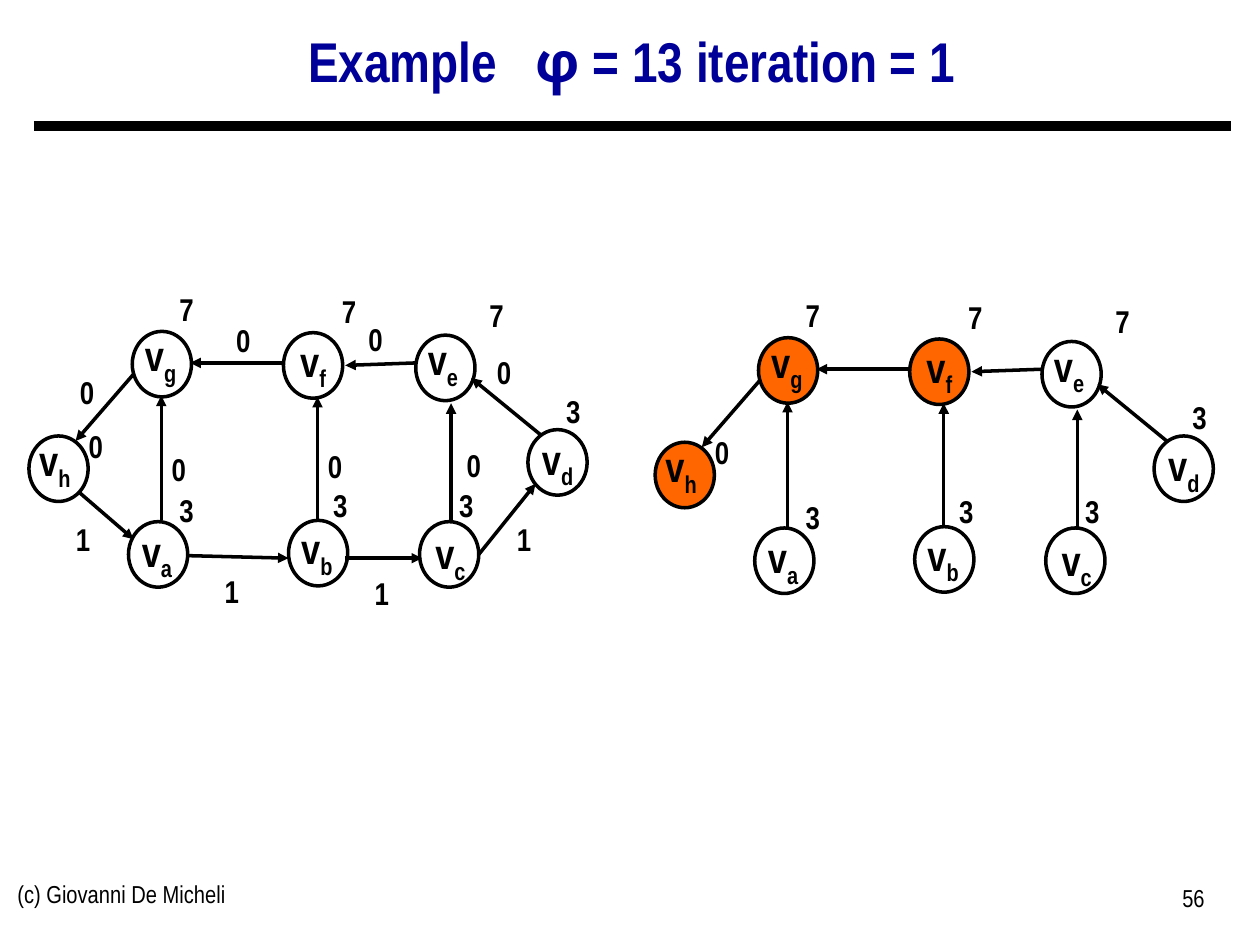
"""Build the retiming example slide: a weighted graph and its zero-weight subgraph."""
from dataclasses import dataclass

import lxml.etree
import pptx
import pptx.dml.color
import pptx.enum.shapes
import pptx.enum.text
import pptx.oxml.ns
import pptx.util

CELL = pptx.util.Inches(0.1)
COLUMNS, ROWS = 100, 75
FONT = "Arial Narrow"
BLACK, NAVY, ORANGE = "000000", "000099", "FF6600"
ALIGN = pptx.enum.text.PP_ALIGN
NODE_SIZE = (4.7, 5.2)
NAME_SIZE = (12.1, 5)
NUMBER_SIZE = (5.2, 4)

Point = tuple[float, float]


@dataclass(frozen=True)
class Node:
    """A vertex with its circle, name and delay positions in grid cells."""
    name: str
    circle: Point
    label: Point
    delay: str
    delay_at: Point


@dataclass(frozen=True)
class Edge:
    """An arrow between vertices with its weight and weight position."""
    start: Point
    end: Point
    weight: str
    weight_at: Point


@dataclass(frozen=True)
class Graph:
    """A drawing of the graph at an offset, whole or reduced."""
    offset: Point
    highlighted: str
    reduced: bool


NODES = (
    Node("a", (10.2, 41.4), (6.4, 41.2), "3", (12.2, 38.5)),
    Node("b", (22.9, 41.3), (19.1, 41), "3", (24.4, 38.1)),
    Node("c", (33.3, 41.4), (29.7, 41.4), "3", (34.4, 38.1)),
    Node("d", (41.9, 34.1), (38.2, 33.9), "3", (42.9, 30.6)),
    Node("e", (33, 26.6), (29.1, 26), "7", (36.8, 23)),
    Node("f", (22.5, 26.4), (18.8, 26.1), "7", (25.1, 22.7)),
    Node("g", (10.5, 26.3), (6.7, 25.7), "7", (12.2, 22.5)),
    Node("h", (2.3, 34.6), (-1.7, 34), "0", (5, 33.4)),
)
EDGES = (
    Edge((12.8, 41.3), (12.8, 31.4), "0", (11.6, 35.2)),
    Edge((25.2, 41.3), (25.2, 31.5), "0", (24, 35)),
    Edge((35.8, 41.3), (35.8, 32), "0", (35, 34.9)),
    Edge((42.9, 34.5), (37.4, 30), "0", (37.4, 27.5)),
    Edge((33.1, 28.8), (27.4, 29), "0", (27.2, 24.9)),
    Edge((22.4, 28.8), (15.1, 28.8), "0", (16.7, 25)),
    Edge((10.6, 29.7), (6, 35), "0", (4.3, 29.1)),
    Edge((6.2, 39), (10.6, 42.8), "1", (4, 40.8)),
    Edge((14.9, 44.1), (22.9, 44.3), "1", (15.8, 44.9)),
    Edge((27.4, 44.3), (33.5, 44.3), "1", (27.7, 45.1)),
    Edge((38, 44), (42.5, 38.4), "1", (39, 40.8)),
)
GRAPHS = (Graph((0, 0), "", False), Graph((49.7, 0.5), "fgh", True))


def cells(*counts: float) -> list[pptx.util.Emu]:
    """Turn counts of grid cells into lengths."""
    return [pptx.util.Emu(round(count * CELL)) for count in counts]


def color(value: str) -> pptx.dml.color.RGBColor:
    """Turn a hex string into a colour."""
    return pptx.dml.color.RGBColor.from_string(value)


def shifted(point: Point, offset: Point) -> Point:
    """Move a point by an offset."""
    return point[0] + offset[0], point[1] + offset[1]


def add_text(slide, at: Point, extent: Point, texts: tuple[str, ...], size: float,
             bold: bool = True, align=ALIGN.CENTER, ink: str = BLACK):
    """Add a one-paragraph text box and return its paragraph."""
    frame = slide.shapes.add_textbox(*cells(*at, *extent)).text_frame
    frame.word_wrap = True
    paragraph = frame.paragraphs[0]
    for text in texts:
        paragraph.add_run().text = text
    paragraph.alignment = align
    font = paragraph.font
    font.name, font.size, font.bold = FONT, pptx.util.Pt(size), bold
    font.color.rgb = color(ink)
    return paragraph


def add_line(slide, start: Point, end: Point, width: float, arrow: bool = True) -> None:
    """Draw a straight line, with an arrowhead at its end if wanted."""
    connector = slide.shapes.add_connector(
        pptx.enum.shapes.MSO_CONNECTOR.STRAIGHT, *cells(*start, *end))
    connector.line.color.rgb = color(BLACK)
    connector.line.width = pptx.util.Pt(width)
    qn = pptx.oxml.ns.qn
    properties = connector._element.spPr
    if arrow:
        lxml.etree.SubElement(properties.find(qn("a:ln")), qn("a:tailEnd"), type="triangle")
    lxml.etree.SubElement(properties, qn("a:effectLst"))


def add_node(slide, node: Node, graph: Graph) -> None:
    """Draw a vertex circle with its subscripted name."""
    shape = slide.shapes.add_shape(
        pptx.enum.shapes.MSO_SHAPE.FLOWCHART_CONNECTOR,
        *cells(*shifted(node.circle, graph.offset), *NODE_SIZE))
    shape.shadow.inherit = False
    shape.line.color.rgb = color(BLACK)
    shape.line.width = pptx.util.Pt(2)
    if node.name in graph.highlighted:
        shape.fill.solid()
        shape.fill.fore_color.rgb = color(ORANGE)
    else:
        shape.fill.background()
    paragraph = add_text(slide, shifted(node.label, graph.offset), NAME_SIZE,
                         ("v", node.name), 24)
    paragraph.runs[1]._r.get_or_add_rPr().set("baseline", "-25000")


def add_graph(slide, graph: Graph) -> None:
    """Draw the delays, vertices and edges; a reduced graph keeps zero-weight edges."""
    for node in NODES:
        add_text(slide, shifted(node.delay_at, graph.offset), NUMBER_SIZE, (node.delay,), 18)
        add_node(slide, node, graph)
    for edge in EDGES:
        if graph.reduced and edge.weight != "0":
            continue
        add_line(slide, shifted(edge.start, graph.offset), shifted(edge.end, graph.offset), 2)
        if not graph.reduced:
            add_text(slide, shifted(edge.weight_at, graph.offset), NUMBER_SIZE,
                     (edge.weight,), 18)


def main() -> None:
    """Build and save the presentation."""
    presentation = pptx.Presentation()
    presentation.slide_width, presentation.slide_height = cells(COLUMNS, ROWS)
    slide = presentation.slides.add_slide(presentation.slide_layouts[6])
    add_line(slide, (2.7, 10), (97.7, 10), 6, arrow=False)
    add_text(slide, (0.4, 69.3), (31.7, 5.2), ("(c) Giovanni De Micheli",), 14,
             bold=False, align=ALIGN.LEFT)
    add_text(slide, (73.3, 69.6), (23.3, 5.2), ("56",), 14, bold=False, align=ALIGN.RIGHT)
    title = add_text(slide, (2.6, 2.2), (95.1, 7.5),
                     ("Example   ", "φ", " = 13 iteration = 1"), 32, ink=NAVY)
    title.line_spacing = 0.9
    title.runs[1].font.name = "Noto Sans"
    for graph in GRAPHS:
        add_graph(slide, graph)
    presentation.save("out.pptx")


if __name__ == "__main__":
    main()
